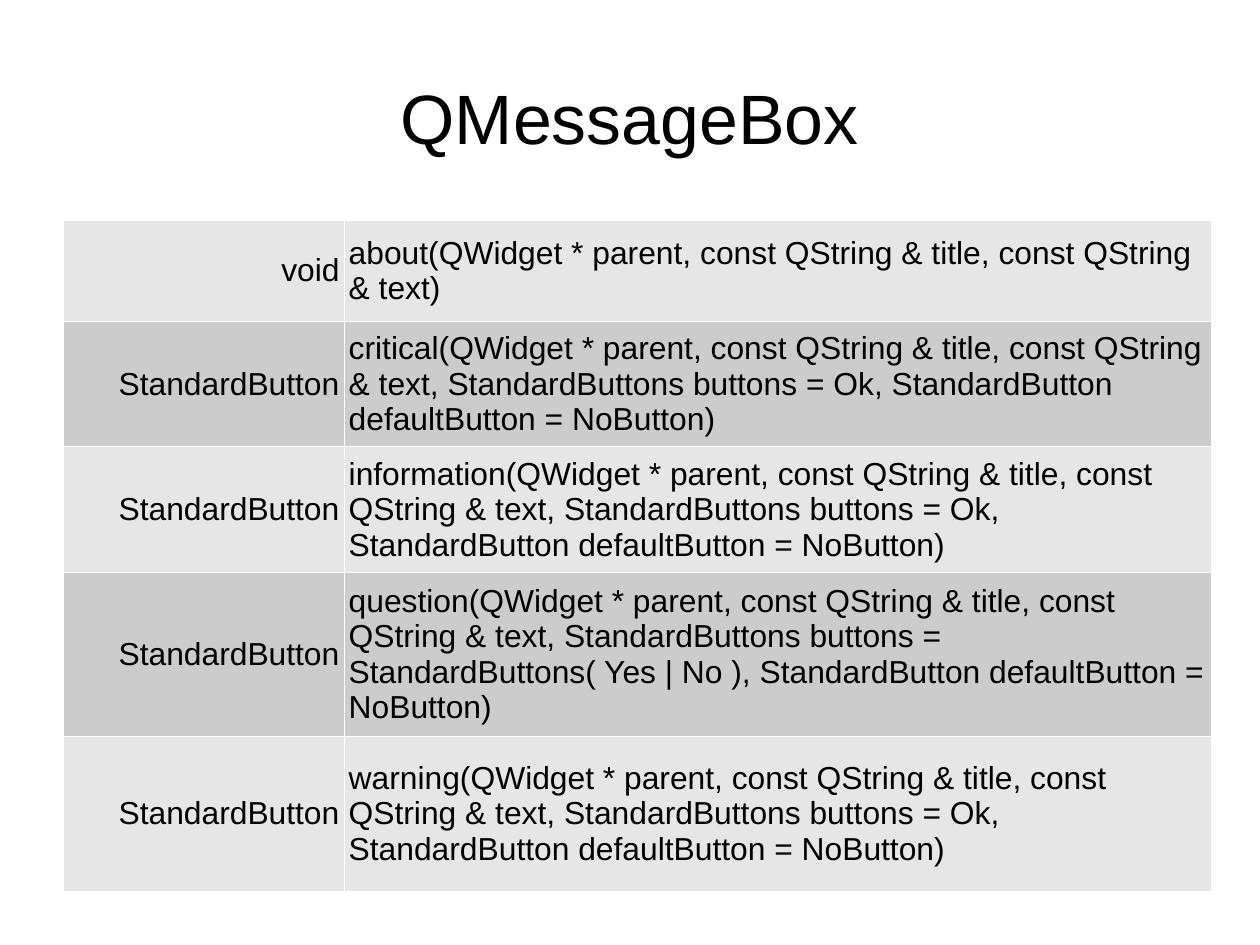
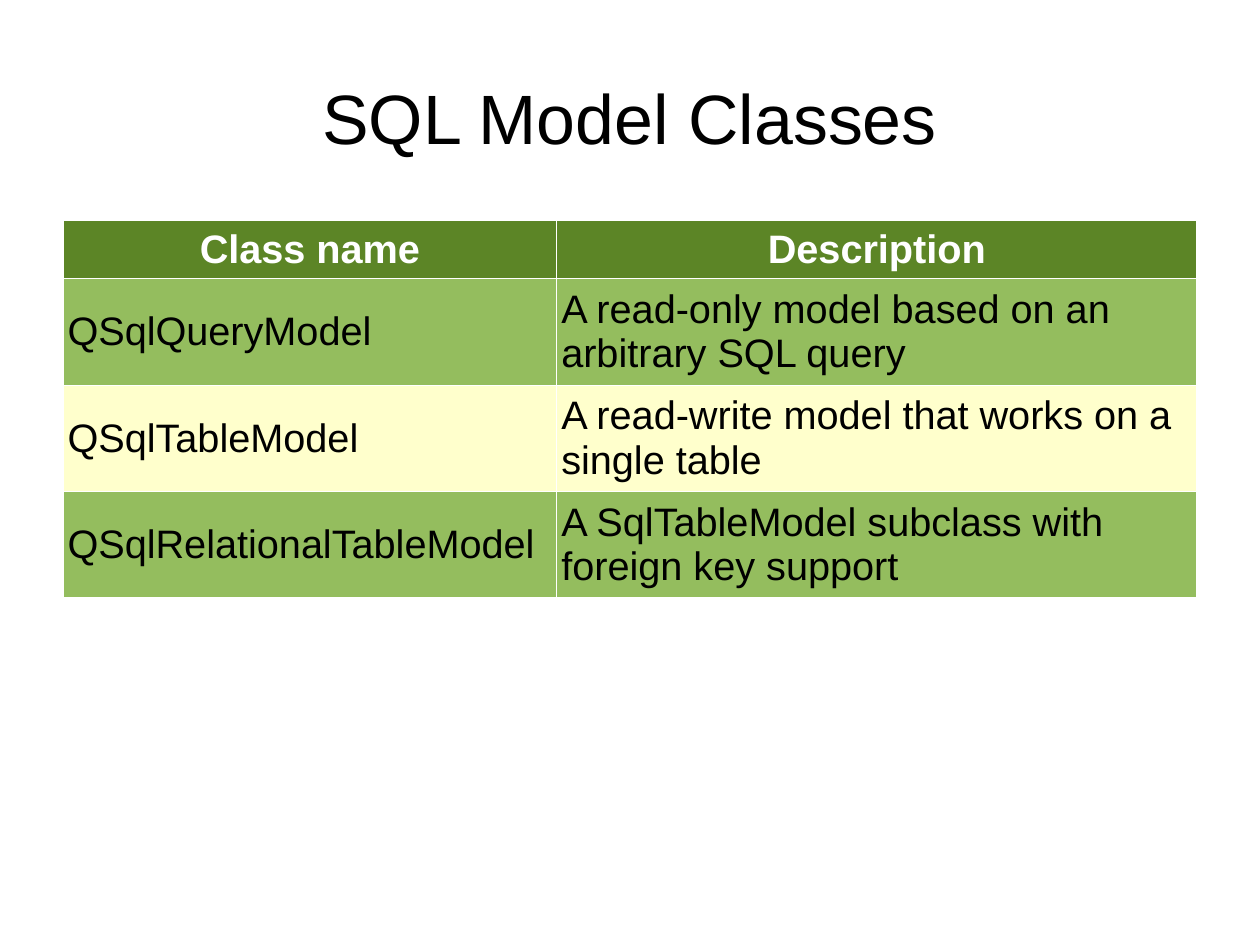
import dataclasses

import lxml.etree
import pptx
import pptx.dml.color
import pptx.enum.text
import pptx.oxml.ns
import pptx.util

Inches = pptx.util.Inches
Align = pptx.enum.text.PP_ALIGN
Middle = pptx.enum.text.MSO_ANCHOR.MIDDLE


@dataclasses.dataclass(frozen=True)
class Theme:
    font: str = "Arial"
    black: str = "000000"
    white: str = "FFFFFF"
    light_gray: str = "E6E6E6"
    mid_gray: str = "CCCCCC"
    dark_green: str = "5C8526"
    green: str = "94BD5E"
    cream: str = "FFFFCC"
    title_size: int = 44
    signature_size: int = 20
    class_size: int = 25
    border_width: float = 0.57


theme = Theme()


def write_text(text_frame, text, size, color, alignment, bold=False):
    paragraph = text_frame.paragraphs[0]
    paragraph.alignment = alignment
    run = paragraph.add_run()
    run.text = text
    font_format = {"name": theme.font, "size": pptx.util.Pt(size), "bold": bold}
    for name, value in font_format.items():
        setattr(run.font, name, value)
    run.font.color.rgb = pptx.dml.color.RGBColor.from_string(color)


def add_border(cell):
    properties = cell._tc.get_or_add_tcPr()
    qn = pptx.oxml.ns.qn
    for position, side in enumerate(("a:lnL", "a:lnR", "a:lnT", "a:lnB")):
        line = lxml.etree.Element(qn(side), w=str(int(pptx.util.Pt(theme.border_width))))
        fill = lxml.etree.SubElement(line, qn("a:solidFill"))
        lxml.etree.SubElement(fill, qn("a:srgbClr"), val=theme.white)
        properties.insert(position, line)


# Slide contents
common = "QWidget * parent, const QString & title, const QString & text"
default_buttons = "StandardButtons buttons = Ok, StandardButton defaultButton = NoButton"
pages = [
    {
        "title": "QMessageBox",
        "columns": [2.46, 7.59],
        "row_heights": [0.88, 1.1, 1.1, 1.43, 1.36],
        "size": theme.signature_size,
        "alignments": [Align.RIGHT, Align.LEFT],
        "bands": [theme.light_gray, theme.mid_gray],
        "header": None,
        "rows": [
            ("void", f"about({common})"),
            ("StandardButton", f"critical({common}, {default_buttons})"),
            ("StandardButton", f"information({common}, {default_buttons})"),
            ("StandardButton", f"question({common}, StandardButtons buttons = "
             "StandardButtons( Yes | No ), StandardButton defaultButton = NoButton)"),
            ("StandardButton", f"warning({common}, {default_buttons})"),
        ],
    },
    {
        "title": "SQL Model Classes",
        "columns": [4.32, 5.6],
        "row_heights": [0.51, 0.93, 0.93, 0.93],
        "size": theme.class_size,
        "alignments": [Align.LEFT, Align.LEFT],
        "bands": [theme.cream, theme.green],
        "header": theme.dark_green,
        "rows": [
            ("Class name", "Description"),
            ("QSqlQueryModel", "A read-only model based on an arbitrary SQL query"),
            ("QSqlTableModel", "A read-write model that works on a single table"),
            ("QSqlRelationalTableModel", "A SqlTableModel subclass with foreign key support"),
        ],
    },
]

# Page of 28 by 21 centimetres, with a side margin of a twentieth
page_width, page_height = 28 / 2.54, 21 / 2.54
side_margin = page_width / 20
presentation = pptx.Presentation()
presentation.slide_width = Inches(page_width)
presentation.slide_height = Inches(page_height)
presentation.element.sldSz.attrib.pop("type", None)
title_only = presentation.slide_layouts[5]

for page in pages:
    slide = presentation.slides.add_slide(title_only)

    # Title
    title = slide.shapes.title
    title_box = {"left": side_margin, "top": 0.33,
                 "width": page_width - 2 * side_margin, "height": 1.38}
    for name, value in title_box.items():
        setattr(title, name, Inches(value))
    frame_format = {
        "margin_left": 0, "margin_right": 0, "margin_top": 0, "margin_bottom": 0,
        "vertical_anchor": Middle, "word_wrap": True,
        "auto_size": pptx.enum.text.MSO_AUTO_SIZE.NONE,
    }
    for name, value in frame_format.items():
        setattr(title.text_frame, name, value)
    write_text(title.text_frame, page["title"], theme.title_size, theme.black, Align.CENTER)

    # Table grid
    columns, heights = page["columns"], page["row_heights"]
    table = slide.shapes.add_table(
        len(heights), len(columns), Inches(side_margin), Inches(1.93),
        Inches(sum(columns)), Inches(sum(heights))).table
    table.first_row = page["header"] is not None
    table.horz_banding = False
    for column, width in zip(table.columns, columns):
        column.width = Inches(width)
    for row, height in zip(table.rows, heights):
        row.height = Inches(height)

    # Table cells
    for row_index, texts in enumerate(page["rows"]):
        is_header = row_index == 0 and page["header"] is not None
        fill_color = page["header"] if is_header else page["bands"][row_index % 2]
        text_color = theme.white if is_header else theme.black
        for column_index, text in enumerate(texts):
            cell = table.cell(row_index, column_index)
            cell_format = {
                "margin_left": Inches(0.04), "margin_right": Inches(0.04),
                "margin_top": Inches(0.05), "margin_bottom": Inches(0.05),
                "vertical_anchor": Middle,
            }
            for name, value in cell_format.items():
                setattr(cell, name, value)
            cell.fill.solid()
            cell.fill.fore_color.rgb = pptx.dml.color.RGBColor.from_string(fill_color)
            add_border(cell)
            alignment = Align.CENTER if is_header else page["alignments"][column_index]
            write_text(cell.text_frame, text, page["size"], text_color, alignment, is_header)

presentation.save("out.pptx")
